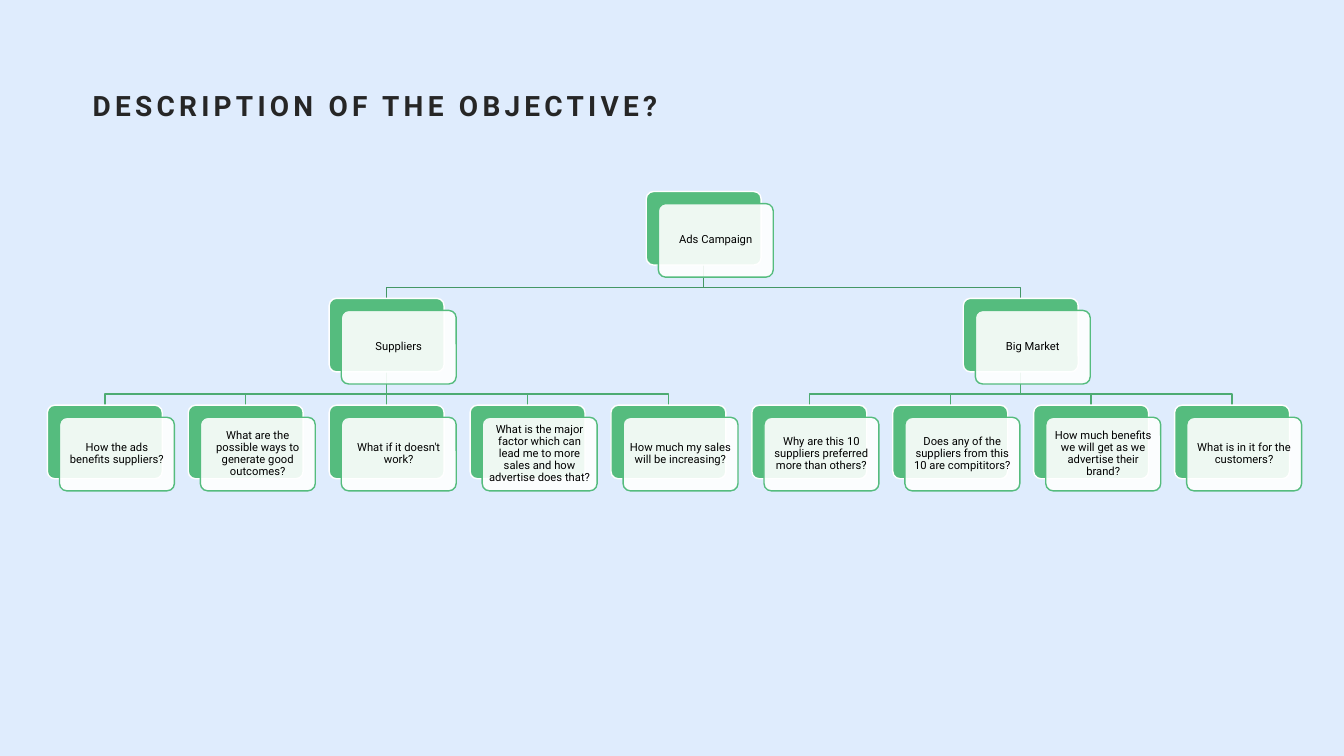
"""Builds a slide with a three-level tree of campaign questions."""
from lxml import etree
from pptx import Presentation
from pptx.dml.color import RGBColor
from pptx.enum.shapes import MSO_CONNECTOR, MSO_SHAPE
from pptx.enum.text import MSO_ANCHOR, PP_ALIGN
from pptx.oxml.ns import qn
from pptx.util import Inches, Pt

TITLE = "DESCRIPTION OF THE OBJECTIVE?"
ROOT = "Ads Campaign"
TREE = {
    "Suppliers": [
        "How the ads benefits suppliers?",
        "What are the possible ways to generate good outcomes?",
        "What if it doesn't work?",
        "What is the major factor which can lead me to more sales and how advertise does that?",
        "How much my sales will be increasing?",
    ],
    "Big Market": [
        "Why are this 10 suppliers preferred more than others?",
        "Does any of the suppliers from this 10 are compititors?",
        "How much benefits we will get as we advertise their brand?",
        "What is in it for the customers?",
    ],
}

SKY = RGBColor(0xDF, 0xEC, 0xFD)
INK = RGBColor(0x26, 0x26, 0x26)
BLACK = RGBColor(0, 0, 0)
WHITE = RGBColor(255, 255, 255)
GREEN = RGBColor(0x55, 0xBC, 0x7E)
UPPER = RGBColor(0x44, 0x97, 0x65)
LOWER = RGBColor(0x4D, 0xAB, 0x72)

FONT = "Roboto"
ROUND, STRAIGHT = MSO_SHAPE.ROUNDED_RECTANGLE, MSO_CONNECTOR.STRAIGHT
CENTER, MIDDLE, TOP = PP_ALIGN.CENTER, MSO_ANCHOR.MIDDLE, MSO_ANCHOR.TOP

WIDE, HIGH = 13.33, 7.5
FIRST, LAST = 0.47, 11.65
HEAD, ROW = 1.9, 1.06
CARD_W, CARD_H = 1.14, 0.73
SHIFT, BEND, INSET = 0.12, 0.11, 0.03
LEAVES = sum(len(kids) for kids in TREE.values())
STEP = (LAST - FIRST) / (LEAVES - 1)


def place(col, row):
    return FIRST + col * STEP, HEAD + row * ROW


def write(frame, text, size, color, inset=0, anchor=TOP):
    frame.word_wrap = True
    frame.vertical_anchor = anchor
    frame.margin_left = frame.margin_right = Inches(inset)
    frame.margin_top = frame.margin_bottom = Inches(inset)
    para = frame.paragraphs[0]
    para.line_spacing = 0.9
    run = para.add_run()
    run.text = text
    run.font.name, run.font.size = FONT, Pt(size)
    run.font.color.rgb = color
    return para, run


def link(shapes, start, end, row, color):
    x1, y1 = place(start, row)
    x2, y2 = place(end, row + 1)
    x1, x2 = Inches(x1 + CARD_W / 2), Inches(x2 + CARD_W / 2)
    y1, mid, y2 = Inches(y1 + CARD_H), Inches(y2 - BEND), Inches(y2)
    if start == end:
        line = shapes.add_connector(STRAIGHT, x1, y1, x2, y2)
    else:
        path = shapes.build_freeform(x1, y1)
        path.add_line_segments([(x1, mid), (x2, mid), (x2, y2)], close=False)
        line = path.convert_to_shape()
        line.fill.background()
    line.line.color.rgb = color
    line.line.width = Pt(1)
    etree.SubElement(line._element.spPr, qn("a:effectLst"))


def plate(shapes, x, y, fill, edge):
    box = shapes.add_shape(ROUND, Inches(x), Inches(y), Inches(CARD_W), Inches(CARD_H))
    box.adjustments[0] = 0.1
    box.shadow.inherit = False
    box.fill.solid()
    box.fill.fore_color.rgb = fill
    box.line.color.rgb = edge
    box.line.width = Pt(1)
    return box


def card(shapes, text, col, row):
    x, y = place(col, row)
    plate(shapes, x, y, GREEN, WHITE)
    front = plate(shapes, x + SHIFT, y + SHIFT, WHITE, GREEN)
    tint = front._element.spPr.find(qn("a:solidFill"))[0]
    etree.SubElement(tint, qn("a:alpha"), val="90000")
    para, run = write(front.text_frame, text, 8, BLACK, INSET, MIDDLE)
    para.alignment = CENTER


def layout():
    cards, links, mids, col = [], [], [], 0
    for name, kids in TREE.items():
        mid = col + (len(kids) - 1) / 2
        mids.append(mid)
        cards.append((name, mid, 1))
        for text in kids:
            cards.append((text, col, 2))
            links.append((mid, col, 1, LOWER))
            col += 1
    top = sum(mids) / len(mids)
    cards.insert(0, (ROOT, top, 0))
    links += [(top, mid, 0, UPPER) for mid in mids]
    return cards, links


def main():
    deck = Presentation()
    deck.slide_width, deck.slide_height = Inches(WIDE), Inches(HIGH)
    slide = deck.slides.add_slide(deck.slide_layouts[6])
    slide.background.fill.solid()
    slide.background.fill.fore_color.rgb = SKY
    shapes = slide.shapes
    title = shapes.add_textbox(Inches(0.92), Inches(0.92), Inches(11.46), Inches(0.61))
    para, run = write(title.text_frame, TITLE, 20, INK)
    run.font.bold = True
    run.font._element.set("spc", "300")
    cards, links = layout()
    for item in links:
        link(shapes, *item)
    for item in cards:
        card(shapes, *item)
    deck.save("out.pptx")


if __name__ == "__main__":
    main()
